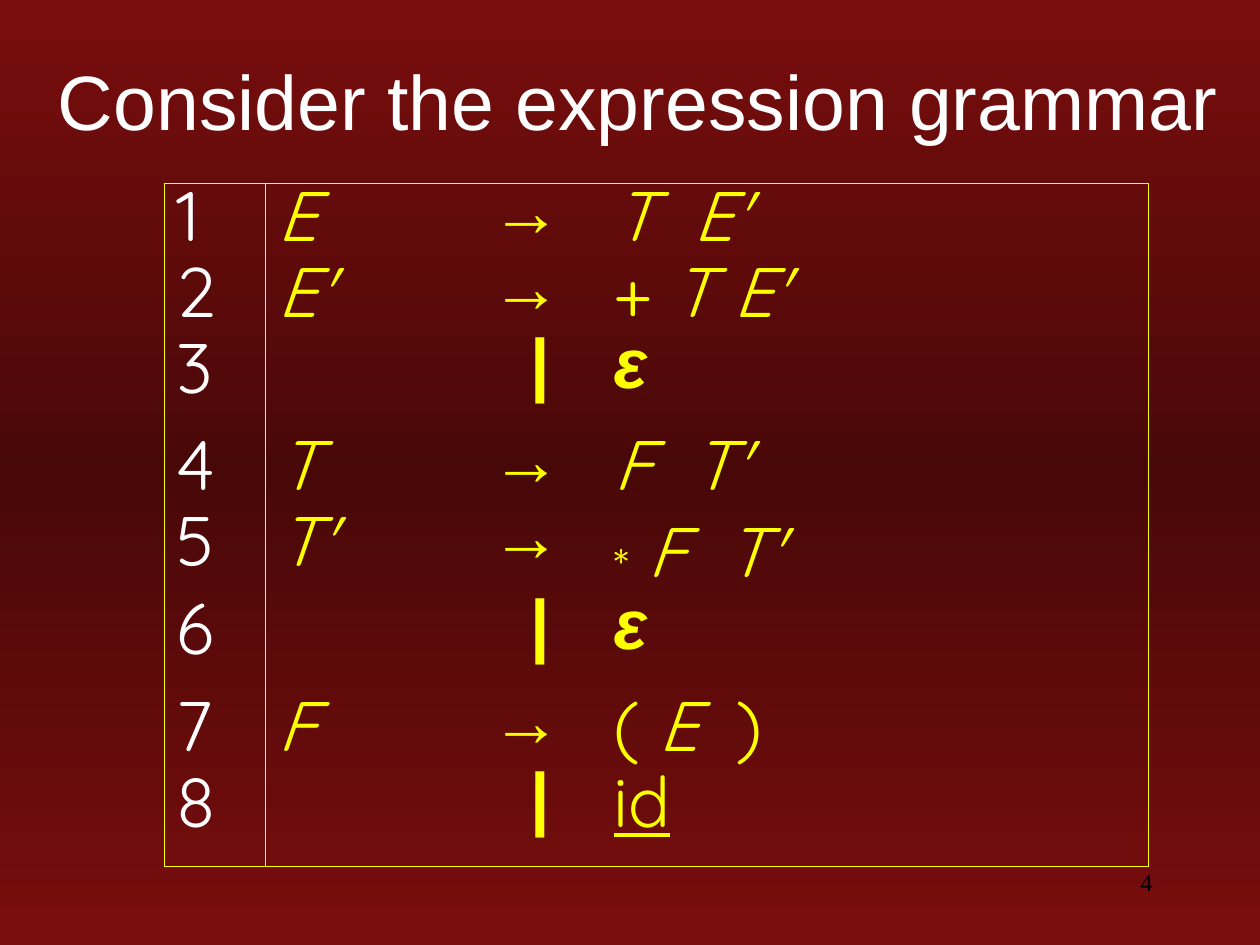
"""Build a slide that lists the productions of an expression grammar."""
from copy import deepcopy
from dataclasses import dataclass

from lxml import etree
from pptx import Presentation
from pptx.dml.color import RGBColor
from pptx.enum.text import MSO_ANCHOR, MSO_AUTO_SIZE, PP_ALIGN
from pptx.oxml.ns import qn
from pptx.util import Emu, Pt

LEFT, RIGHT = PP_ALIGN.LEFT, PP_ALIGN.RIGHT
TOP = MSO_ANCHOR.TOP
NO_FIT = MSO_AUTO_SIZE.NONE
EMU_PER_PX = 914400 / 126


@dataclass(frozen=True)
class Theme:
    edge: str = "790D0D"
    middle: str = "490808"
    white: str = "FFFFFF"
    yellow: str = "FFFF00"
    black: str = "000000"
    plain: str = "Arial"
    symbol: str = "Quicksand"
    serif: str = "Times New Roman"
    title_pt: int = 44
    cell_pt: int = 40
    star_pt: int = 48
    page_pt: int = 14
    border_pt: float = 0.45


THEME = Theme()


@dataclass(frozen=True)
class Span:
    text: str
    font: str = THEME.symbol
    color: str = THEME.yellow
    size: int = THEME.cell_pt
    bold: bool = False
    italic: bool = False
    underline: bool = False
    baseline: int = 0


@dataclass(frozen=True)
class Rule:
    left: str
    right: tuple[Span, ...]
    height: int


def italic(text: str) -> Span:
    """Return a span for nonterminal symbols."""
    return Span(text, italic=True)


ARROW = Span("→", font=THEME.plain, bold=True)
BAR = Span("|", font=THEME.plain, bold=True)
EPSILON = Span("ε", font=THEME.plain, bold=True, italic=True)
STAR = Span("*", size=THEME.star_pt, baseline=-8000)
BAR_INDENT = 39
COLUMNS = (101, 214, 122, 547)
RULES = (
    Rule("E", (italic("T  E'"),), 76),
    Rule("E'", (Span("+"), italic(" T E'")), 76),
    Rule("", (EPSILON,), 97),
    Rule("T", (italic("F  T'"),), 76),
    Rule("T'", (STAR, italic(" F  T'")), 88),
    Rule("", (EPSILON,), 97),
    Rule("F", (Span("( "), italic("E "), Span(" )")), 76),
    Rule("", (Span("id", underline=True),), 97),
)


def px(n: float) -> Emu:
    """Convert pixels to EMU."""
    return Emu(round(n * EMU_PER_PX))


def add_spans(p, spans: tuple[Span, ...]) -> None:
    """Append formatted runs to a paragraph."""
    for span in spans:
        r = p.add_run()
        r.text = span.text
        f = r.font
        f.name, f.size = span.font, Pt(span.size)
        f.bold, f.italic, f.underline = span.bold, span.italic, span.underline
        f.color.rgb = RGBColor.from_string(span.color)
        if span.baseline:
            r._r.get_or_add_rPr().set("baseline", str(span.baseline))


def paint_background(s) -> None:
    """Fill the background with a vertical gradient, dark in the middle."""
    fill = s.background.fill
    fill.gradient()
    fill.gradient_angle = 90
    stops = s._element.find(".//" + qn("a:gsLst"))
    stops.insert(1, deepcopy(stops[0]))
    colors = (THEME.edge, THEME.middle, THEME.edge)
    for i, (stop, color) in enumerate(zip(fill.gradient_stops, colors)):
        stop.position = i / 2
        stop.color.rgb = RGBColor.from_string(color)


def add_title(s, text: str) -> None:
    """Place and format the title."""
    sp = s.shapes.title
    sp.left, sp.top, sp.width, sp.height = px(24), px(62), px(1236), px(135)
    tf = sp.text_frame
    tf.word_wrap, tf.auto_size, tf.vertical_anchor = True, NO_FIT, TOP
    tf.margin_left, tf.margin_right, tf.margin_top = px(34), 0, px(9)
    p = tf.paragraphs[0]
    p.alignment, p.line_spacing = LEFT, 0.8
    add_spans(p, (Span(text, THEME.plain, THEME.white, THEME.title_pt),))


def add_page_number(s, text: str) -> None:
    """Add the page number at the lower right."""
    tf = s.shapes.add_textbox(px(903), px(861), px(262), px(63)).text_frame
    tf.word_wrap = True
    p = tf.paragraphs[0]
    p.alignment = RIGHT
    add_spans(p, (Span(text, THEME.serif, THEME.black, THEME.page_pt),))


def set_borders(cell, visible: dict[str, bool]) -> None:
    """Draw the visible sides of a cell and clear the others."""
    tc_pr = cell._tc.get_or_add_tcPr()
    for side, shown in visible.items():
        ln = etree.SubElement(tc_pr, qn(f"a:ln{side}"), w=str(Pt(THEME.border_pt)))
        fill = etree.SubElement(ln, qn("a:solidFill" if shown else "a:noFill"))
        if shown:
            etree.SubElement(fill, qn("a:srgbClr"), val=THEME.yellow)


def fill_cell(cell, spans: tuple[Span, ...]) -> None:
    """Write the spans of one table cell."""
    cell.fill.background()
    cell.vertical_anchor = TOP
    p = cell.text_frame.paragraphs[0]
    p.line_spacing = 0.75
    if spans == (BAR,):
        p._p.get_or_add_pPr().set("marL", str(px(BAR_INDENT)))
    add_spans(p, spans)


def add_grammar(s) -> None:
    """Add the table of numbered productions."""
    last_row, last_col = len(RULES) - 1, len(COLUMNS) - 1
    frame = s.shapes.add_table(len(RULES), len(COLUMNS), px(164), px(183),
                               px(sum(COLUMNS)), px(sum(r.height for r in RULES)))
    table = frame.table
    table.first_row = table.horz_banding = False
    for column, width in zip(table.columns, COLUMNS):
        column.width = px(width)
    for i, rule in enumerate(RULES):
        table.rows[i].height = px(rule.height)
        left = (italic(rule.left),) if rule.left else ()
        cells = ((Span(str(i + 1), color=THEME.white),), left,
                 (ARROW if rule.left else BAR,), rule.right)
        for j, spans in enumerate(cells):
            cell = table.cell(i, j)
            set_borders(cell, {"L": j <= 1, "R": j in (0, last_col),
                               "T": i == 0, "B": i == last_row})
            fill_cell(cell, spans)


def main() -> None:
    """Build and save the slide."""
    prs = Presentation()
    prs.slide_width, prs.slide_height = px(1260), px(945)
    s = prs.slides.add_slide(prs.slide_layouts[5])
    paint_background(s)
    add_page_number(s, "4")
    add_title(s, "Consider the expression grammar")
    add_grammar(s)
    prs.save("out.pptx")


if __name__ == "__main__":
    main()
